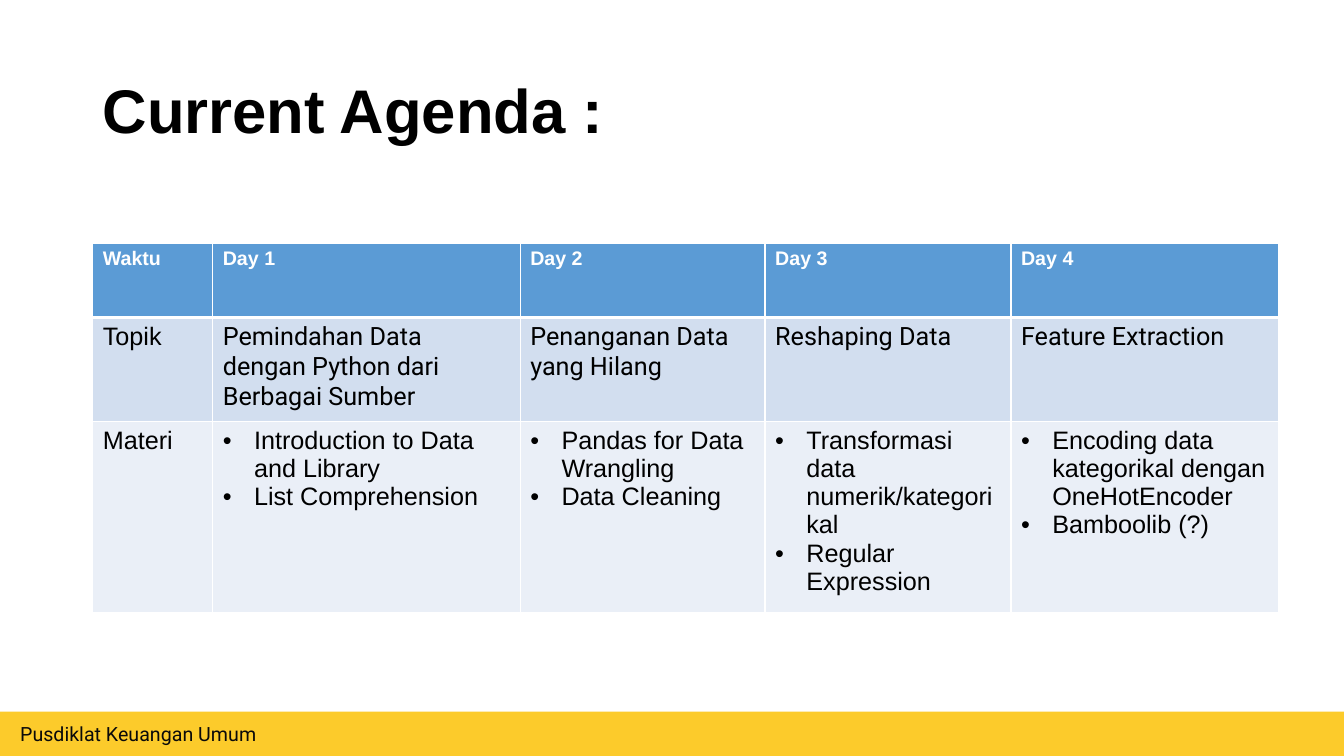
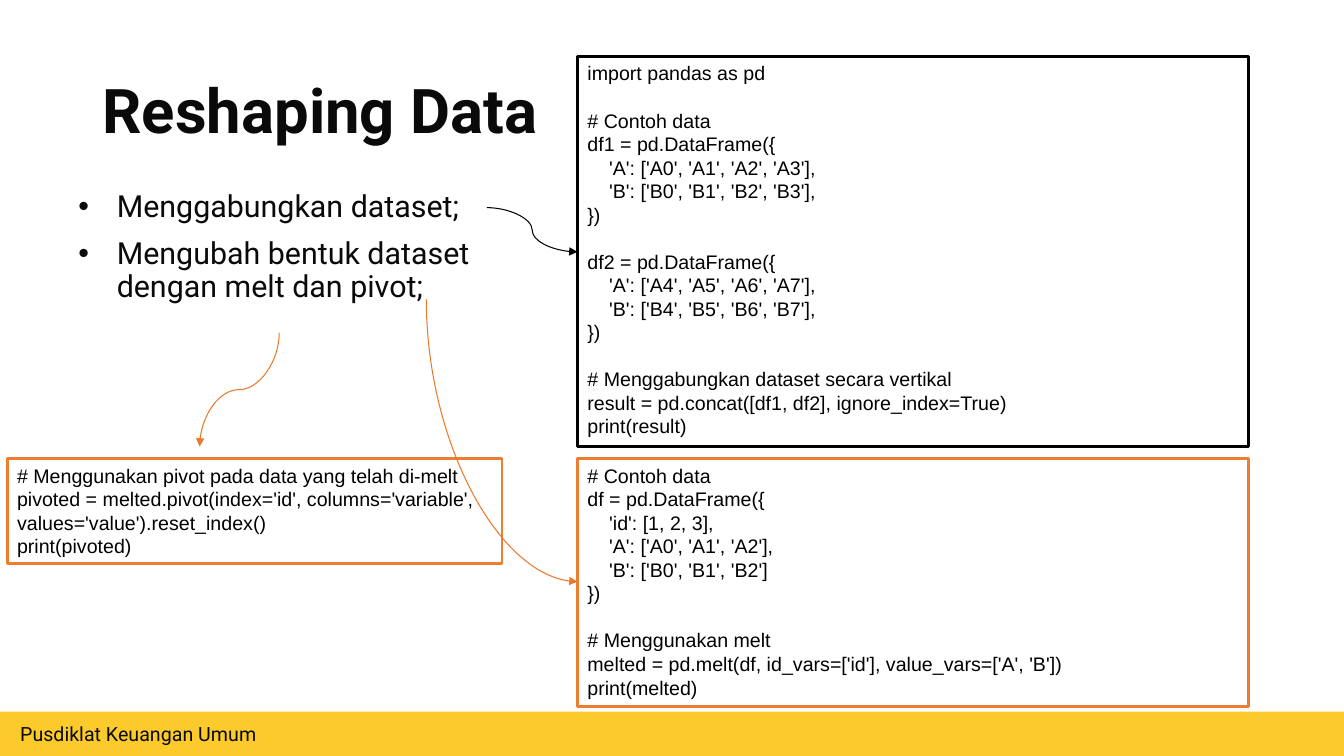
"""Build a two-slide training deck: the agenda table and the data reshaping examples."""
import lxml.etree
import pptx
import pptx.dml.color
import pptx.enum.shapes
import pptx.enum.text
import pptx.oxml.ns
import pptx.text.text
import pptx.util

COLORS = {
    "band": "FCCB2B", "ink": "0A0A0A", "black": "000000", "white": "FFFFFF",
    "header": "5B9BD5", "topic": "D2DEEF", "material": "EAEFF7",
    "frame": "ED7D31", "arrow": "EC792B",
}
RGB = {name: pptx.dml.color.RGBColor.from_string(code) for name, code in COLORS.items()}
qn = pptx.oxml.ns.qn

deck = pptx.Presentation()
deck.slide_width = pptx.util.Inches(40 / 3)
deck.slide_height = pptx.util.Inches(7.5)
COLUMN = deck.slide_width / 100
ROW = deck.slide_height / 100


def place(left, top, width, height):
    """Turn grid columns and rows into slide lengths."""
    return [round(n * unit) for n, unit in zip((left, top, width, height), (COLUMN, ROW, COLUMN, ROW))]


def write(frame, lines, size, font="Arial", color="black", bold=False, hang=0, spacing=None, gap=0):
    """Fill a text frame with one paragraph per line, bulleted when hang is given."""
    frame.word_wrap = True
    for index, line in enumerate(lines):
        para = frame.add_paragraph() if index else frame.paragraphs[0]
        para.alignment = pptx.enum.text.PP_ALIGN.LEFT
        if spacing:
            para.line_spacing = spacing
        if index and gap:
            para.space_before = pptx.util.Pt(gap)
        if hang:
            margin, indent = hang
            props = para._p.get_or_add_pPr()
            props.set("marL", str(pptx.util.Inches(margin)))
            props.set("indent", str(pptx.util.Inches(indent)))
            tint = lxml.etree.SubElement(props, qn("a:buClr"))
            lxml.etree.SubElement(tint, qn("a:srgbClr"), val=COLORS[color])
            lxml.etree.SubElement(props, qn("a:buFont"), typeface="Arial")
            lxml.etree.SubElement(props, qn("a:buChar"), char="•")
        if line:
            span = para.add_run()
            span.text = line
            style = span.font
        else:
            style = pptx.text.text.Font(para._p.get_or_add_endParaRPr())
        style.size = pptx.util.Pt(size)
        style.name = font
        style.bold = bold
        style.color.rgb = RGB[color]


pages = []
for title, font, color in (("Current Agenda :", "Arial", "black"), ("Reshaping Data", "Roboto", "ink")):
    page = deck.slides.add_slide(deck.slide_layouts[6])
    pages.append(page)
    band = page.shapes.add_shape(pptx.enum.shapes.MSO_SHAPE.RECTANGLE, *place(0, 94.13, 100, 5.87))
    band.shadow.inherit = False
    band.fill.solid()
    band.fill.fore_color.rgb = RGB["band"]
    band.line.fill.background()
    band.text_frame.margin_left = band.text_frame.margin_right = pptx.util.Inches(0.2)
    write(band.text_frame, ["Pusdiklat Keuangan Umum"], 14, "Roboto", "ink")
    heading = page.shapes.add_textbox(*place(6.9, 5.33, 86.25, 19.33))
    heading.text_frame.vertical_anchor = pptx.enum.text.MSO_ANCHOR.MIDDLE
    write(heading.text_frame, [title], 44, font, color, bold=True, spacing=0.9)
agenda, reshaping = pages

schedule = [
    [["Waktu"], ["Day 1"], ["Day 2"], ["Day 3"], ["Day 4"]],
    [["Topik"], ["Pemindahan Data dengan Python dari Berbagai Sumber"],
     ["Penanganan Data yang Hilang"], ["Reshaping Data"], ["Feature Extraction"]],
    [["Materi"],
     ["Introduction to Data and Library", "List Comprehension"],
     ["Pandas for Data Wrangling", "Data Cleaning"],
     ["Transformasi data numerik/kategorikal", "Regular Expression"],
     ["Encoding data kategorikal dengan OneHotEncoder", "Bamboolib (?)"]],
]
column_spans = [8.93, 22.88, 18.22, 18.3, 19.88]
row_spans = [9.87, 13.73, 23.87]
row_fills = ["header", "topic", "material"]
table = agenda.shapes.add_table(
    len(row_spans), len(column_spans), *place(6.9, 32.13, sum(column_spans), sum(row_spans))).table
for column, span_width in zip(table.columns, column_spans):
    column.width = round(span_width * COLUMN)
for r, texts in enumerate(schedule):
    table.rows[r].height = round(row_spans[r] * ROW)
    for c, lines in enumerate(texts):
        cell = table.cell(r, c)
        for side in "LRTB":
            thick = (r, side) in ((0, "B"), (1, "T"))
            edge = lxml.etree.SubElement(
                cell._tc.get_or_add_tcPr(), qn("a:ln" + side), w=str(pptx.util.Pt(3 if thick else 1)))
            paint = lxml.etree.SubElement(edge, qn("a:solidFill"))
            lxml.etree.SubElement(paint, qn("a:srgbClr"), val=COLORS["white"])
        cell.fill.solid()
        cell.fill.fore_color.rgb = RGB[row_fills[r]]
        write(cell.text_frame, lines, 18 if r else 14, "Roboto" if r == 1 and c else "Arial",
              "black" if r else "white", bold=r == 0, hang=(0.31, -0.31) if r == 2 and c else 0)

points = reshaping.shapes.add_textbox(*place(4.2, 24.67, 33.22, 19.33))
write(points.text_frame, ["Menggabungkan dataset;", "Mengubah bentuk dataset dengan melt dan pivot;"],
      21.7, "Roboto", "ink", hang=(0.5, -0.38), spacing=0.9, gap=10)

concat_code = """import pandas as pd

# Contoh data
df1 = pd.DataFrame({
    'A': ['A0', 'A1', 'A2', 'A3'],
    'B': ['B0', 'B1', 'B2', 'B3'],
})

df2 = pd.DataFrame({
    'A': ['A4', 'A5', 'A6', 'A7'],
    'B': ['B4', 'B5', 'B6', 'B7'],
})

# Menggabungkan dataset secara vertikal
result = pd.concat([df1, df2], ignore_index=True)
print(result)"""
melt_code = """# Contoh data
df = pd.DataFrame({
    'id': [1, 2, 3],
    'A': ['A0', 'A1', 'A2'],
    'B': ['B0', 'B1', 'B2']
})

# Menggunakan melt
melted = pd.melt(df, id_vars=['id'], value_vars=['A', 'B'])
print(melted)"""
pivot_code = """# Menggunakan pivot pada data yang telah di-melt
pivoted = melted.pivot(index='id', columns='variable', values='value').reset_index()
print(pivoted)"""
for code, area, color in (
    (concat_code, (42.97, 7.47, 49.95, 51.6), "black"),
    (melt_code, (42.97, 60.67, 49.95, 32.8), "frame"),
    (pivot_code, (0.53, 60.67, 36.83, 13.87), "frame"),
):
    box = reshaping.shapes.add_shape(pptx.enum.shapes.MSO_SHAPE.RECTANGLE, *place(*area))
    box.shadow.inherit = False
    box.fill.solid()
    box.fill.fore_color.rgb = RGB["white"]
    box.line.color.rgb = RGB[color]
    box.line.width = pptx.util.Pt(2)
    box.text_frame.vertical_anchor = pptx.enum.text.MSO_ANCHOR.TOP
    write(box.text_frame, code.split("\n"), 14)

for ends, turn, bend, color in (
    ((36.22, 27.47, 42.97, 33.33), 0, "curvedConnector3", "black"),
    ((47.85, 48.27, 26.85, 68.27), 270, "curvedConnector2", "arrow"),
    ((13.58, 46.27, 22.05, 56.8), 90, "curvedConnector3", "arrow"),
):
    arrow = reshaping.shapes.add_connector(pptx.enum.shapes.MSO_CONNECTOR.CURVE, *place(*ends))
    arrow.line.color.rgb = RGB[color]
    arrow.line.width = pptx.util.Pt(0.75)
    props = arrow._element.spPr
    props.find(qn("a:xfrm")).set("rot", str(turn * 60000))
    props.find(qn("a:prstGeom")).set("prst", bend)
    lxml.etree.SubElement(props.find(qn("a:ln")), qn("a:tailEnd"), type="triangle")
    lxml.etree.SubElement(props, qn("a:effectLst"))

deck.save("out.pptx")
